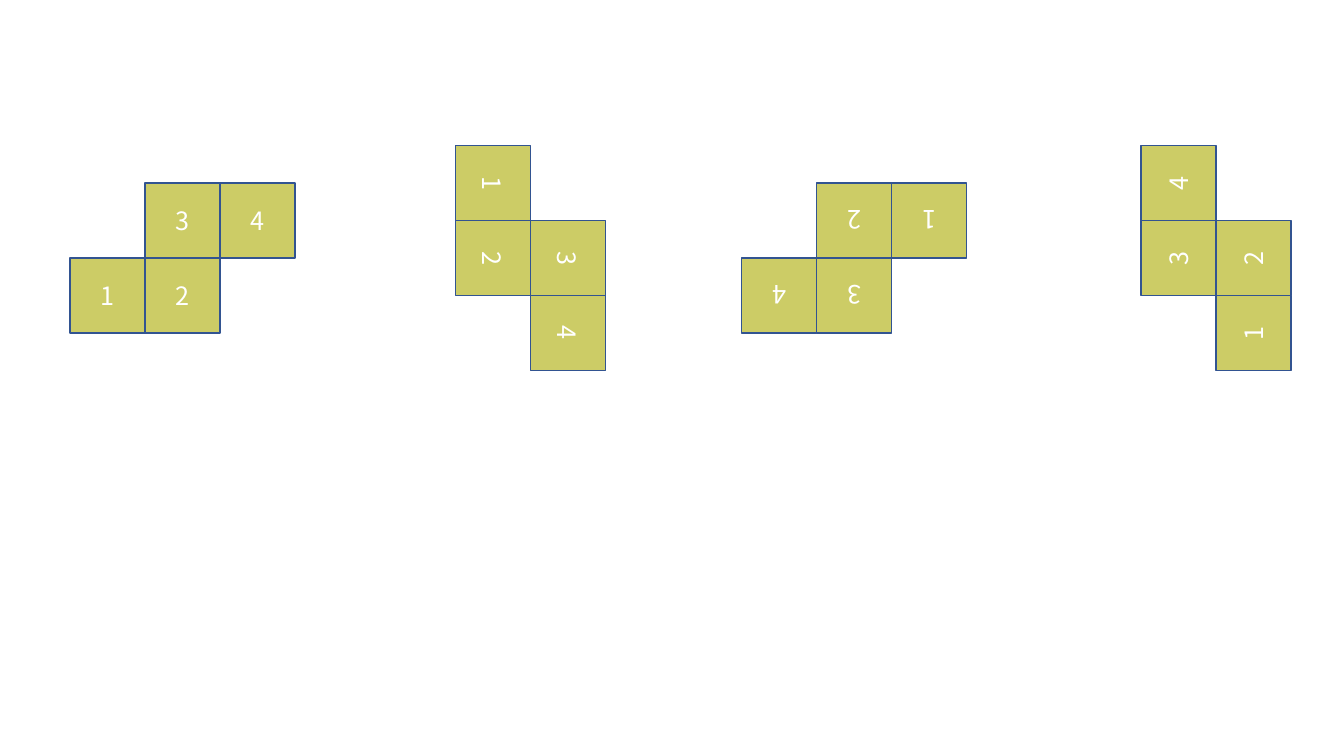
from dataclasses import dataclass

import pptx
import pptx.dml.color
import pptx.enum.shapes
import pptx.enum.text
import pptx.util

Inches = pptx.util.Inches
SIDE = 2.23 / 3
CENTER_Y = 2.56


@dataclass
class Tile:
    label: str
    x: float
    y: float


@dataclass
class Piece:
    center_x: float
    quarter_turns: int


TILES = [
    Tile("4", 1, -0.5),
    Tile("2", 0, 0.5),
    Tile("1", -1, 0.5),
    Tile("3", 0, -0.5),
]
PIECES = [Piece(1.81, 0), Piece(12.06, 3), Piece(8.47, 2), Piece(5.26, 1)]


def color(value: str) -> pptx.dml.color.RGBColor:
    return pptx.dml.color.RGBColor.from_string(value)


def write(sp, text: str, *, size: float, font: str, fill: str) -> None:
    tf = sp.text_frame
    tf.vertical_anchor = pptx.enum.text.MSO_ANCHOR.MIDDLE
    p = tf.paragraphs[0]
    p.alignment = pptx.enum.text.PP_ALIGN.CENTER
    r = p.add_run()
    r.text = text
    r.font.size = pptx.util.Pt(size)
    r.font.name = font
    r.font.color.rgb = color(fill)


def draw_tile(group, tile: Tile, piece: Piece) -> None:
    x, y = tile.x, tile.y
    for _ in range(piece.quarter_turns):
        x, y = -y, x
    sp = group.shapes.add_shape(
        pptx.enum.shapes.MSO_SHAPE.RECTANGLE,
        Inches(piece.center_x + (x - 0.5) * SIDE),
        Inches(CENTER_Y + (y - 0.5) * SIDE),
        Inches(SIDE),
        Inches(SIDE),
    )
    sp.rotation = 90 * piece.quarter_turns
    sp.shadow.inherit = False
    sp.fill.solid()
    sp.fill.fore_color.rgb = color("CCCC66")
    sp.line.color.rgb = color("325491")
    sp.line.width = pptx.util.Pt(1)
    write(sp, tile.label, size=18, font="Noto Sans CJK SC", fill="FFFFFF")


def draw_piece(slide, piece: Piece) -> None:
    group = slide.shapes.add_group_shape()
    for tile in TILES:
        draw_tile(group, tile, piece)


def main() -> None:
    prs = pptx.Presentation()
    prs.slide_width = Inches(13.33)
    prs.slide_height = Inches(7.5)
    slide = prs.slides.add_slide(prs.slide_layouts[6])
    for piece in PIECES:
        draw_piece(slide, piece)
    prs.save("out.pptx")


if __name__ == "__main__":
    main()
